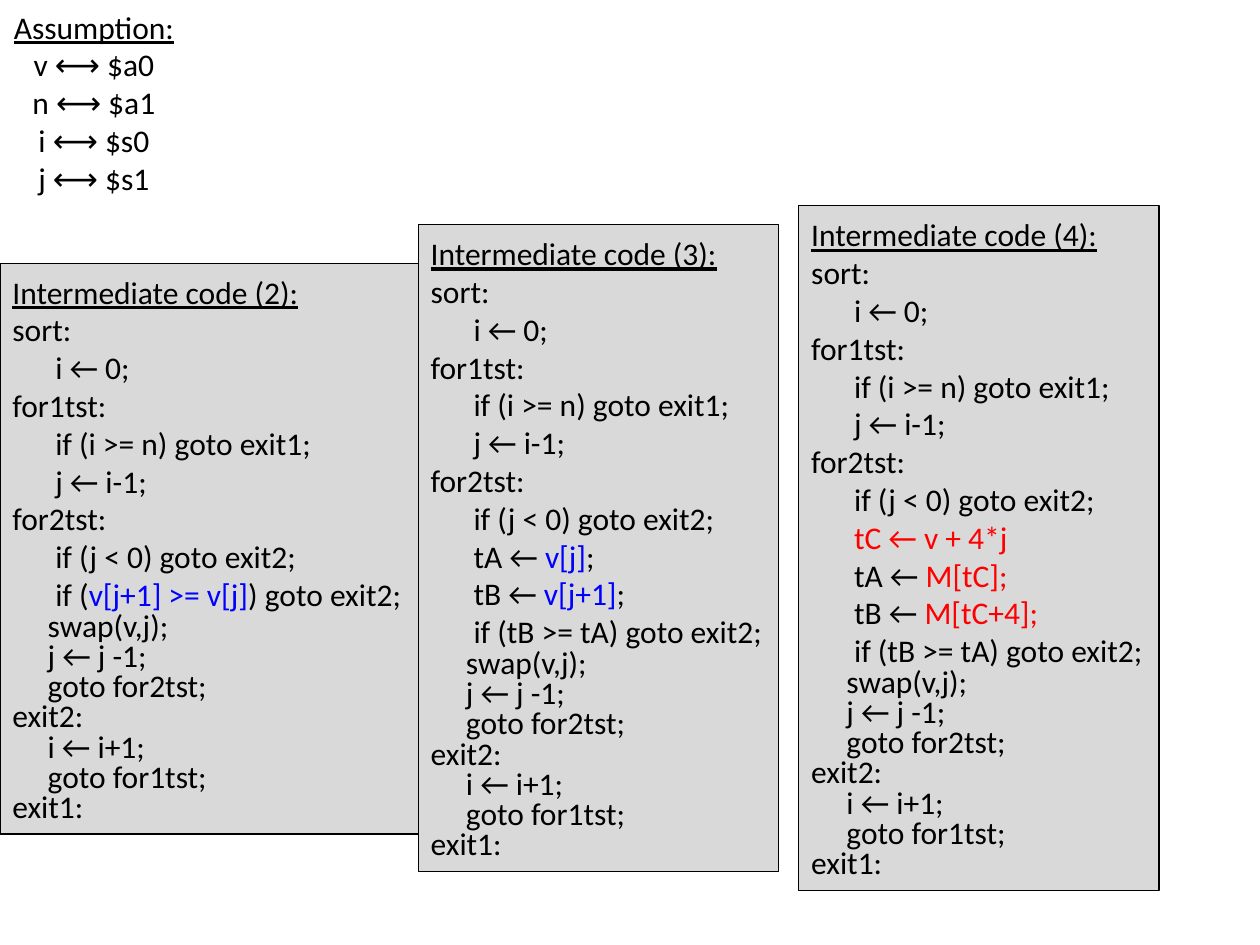
from dataclasses import dataclass

from pptx import Presentation
from pptx.dml.color import RGBColor
from pptx.enum.shapes import MSO_SHAPE as Shape
from pptx.enum.text import MSO_ANCHOR as Anchor, MSO_AUTO_SIZE as AutoSize, PP_ALIGN as Align
from pptx.util import Inches, Pt


@dataclass(frozen=True)
class Theme:
    font: str = "Calibri"
    size: float = 18
    text: str = "000000"
    panel: str = "D9D9D9"
    border: str = "000000"
    border_width: float = 0.75
    access: str = "0000FF"
    address: str = "FF0000"
    body_indent: float = 0.34
    tail_indent: float = 0.28
    tail_spacing: float = 0.8


THEME = Theme()


@dataclass(frozen=True)
class Run:
    text: str
    color: str = THEME.text
    underline: bool = False


@dataclass(frozen=True)
class Line:
    runs: tuple[Run, ...]
    indent: float = 0
    spacing: float | None = None
    align: Align = Align.LEFT


@dataclass(frozen=True)
class Panel:
    number: int
    left: float
    top: float
    width: float
    height: float
    steps: tuple[Line, ...]


def step(*runs: Run) -> Line:
    return Line(runs, THEME.body_indent)


def label(text: str) -> Line:
    return Line((Run(text),))


def tail(text: str, indent: float = 0) -> Line:
    return Line((Run(text),), indent, THEME.tail_spacing)


def access(text: str) -> Run:
    return Run(text, THEME.access)


def address(text: str) -> Run:
    return Run(text, THEME.address)


HEAD = (
    label("sort:"),
    step(Run("i ← 0;")),
    label("for1tst:"),
    step(Run("if (i >= n) goto exit1;")),
    step(Run("j ← i-1;")),
    label("for2tst:"),
    step(Run("if (j < 0) goto exit2;")),
)
TAIL = (
    tail("swap(v,j);", THEME.tail_indent),
    tail("j ← j -1;", THEME.tail_indent),
    tail("goto for2tst;", THEME.tail_indent),
    tail("exit2:"),
    tail("i ← i+1;", THEME.tail_indent),
    tail("goto for1tst;", THEME.tail_indent),
    tail("exit1:"),
)
COMPARE = step(Run("if (tB >= tA) goto exit2;"))

PANELS = (
    Panel(2, 0, 2.09, 3.32, 4.53, (
        step(Run("if ("), access("v[j+1] >= v[j]"), Run(") goto exit2;")),
    )),
    Panel(4, 6.34, 1.63, 2.86, 5.44, (
        step(address("tC ← v + 4*j")),
        step(Run("tA ← "), address("M[tC];")),
        step(Run("tB ← "), address("M[tC+4];")),
        COMPARE,
    )),
    Panel(3, 3.32, 1.78, 2.86, 5.14, (
        step(Run("tA ← "), access("v[j]"), Run(";")),
        step(Run("tB ← "), access("v[j+1]"), Run(";")),
        COMPARE,
    )),
)
REGISTERS = {"v": "$a0", "n": "$a1", "i": "$s0", "j": "$s1"}


def write_lines(tf, lines: tuple[Line, ...]) -> None:
    frame = {
        "word_wrap": False,
        "auto_size": AutoSize.SHAPE_TO_FIT_TEXT,
        "vertical_anchor": Anchor.MIDDLE,
    }
    for name, value in frame.items():
        setattr(tf, name, value)
    for i, line in enumerate(lines):
        p = tf.add_paragraph() if i else tf.paragraphs[0]
        p.alignment = line.align
        p.line_spacing = line.spacing
        if line.indent:
            p._p.get_or_add_pPr().set("marL", str(Inches(line.indent)))
        for run in line.runs:
            r = p.add_run()
            r.text = run.text
            font = {"name": THEME.font, "size": Pt(THEME.size), "underline": run.underline}
            for name, value in font.items():
                setattr(r.font, name, value)
            r.font.color.rgb = RGBColor.from_string(run.color)


def draw_panel(s, panel: Panel) -> None:
    box = (Inches(v) for v in (panel.left, panel.top, panel.width, panel.height))
    sp = s.shapes.add_shape(Shape.RECTANGLE, *box)
    sp.shadow.inherit = False
    sp.fill.solid()
    sp.fill.fore_color.rgb = RGBColor.from_string(THEME.panel)
    sp.line.color.rgb = RGBColor.from_string(THEME.border)
    sp.line.width = Pt(THEME.border_width)
    heading = Line((Run(f"Intermediate code ({panel.number}):", underline=True),))
    write_lines(sp.text_frame, (heading, *HEAD, *panel.steps, *TAIL))


def draw_assumption(s) -> None:
    sp = s.shapes.add_textbox(Inches(0), Inches(0), Inches(1.49), Inches(1.62))
    heading = Run("Assumption:", underline=True)
    pairs = [Run(f"{name} ⟷ {register}") for name, register in REGISTERS.items()]
    lines = tuple(Line((run,), align=Align.CENTER) for run in (heading, *pairs))
    write_lines(sp.text_frame, lines)


def main() -> None:
    prs = Presentation()
    prs.slide_width, prs.slide_height = Inches(10), Inches(7.5)
    s = prs.slides.add_slide(prs.slide_layouts[6])
    for panel in PANELS:
        draw_panel(s, panel)
    draw_assumption(s)
    prs.save("out.pptx")


if __name__ == "__main__":
    main()
